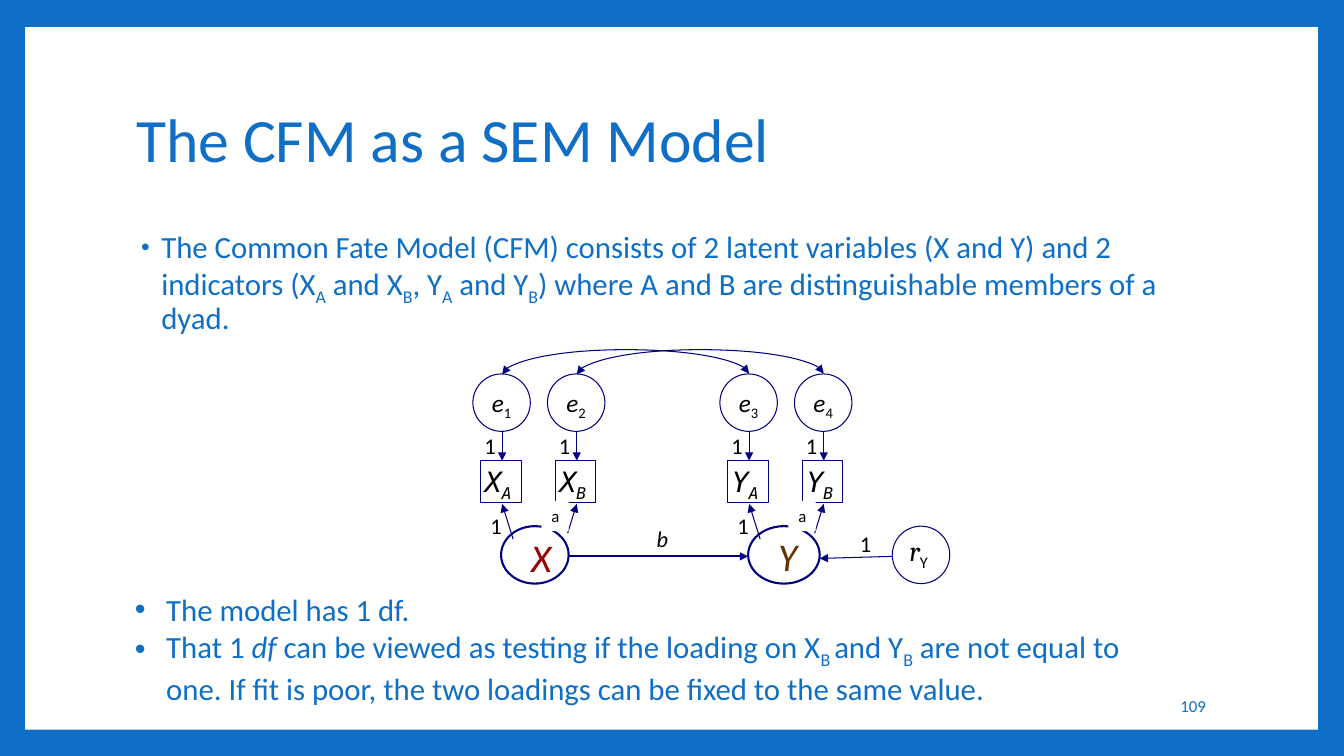
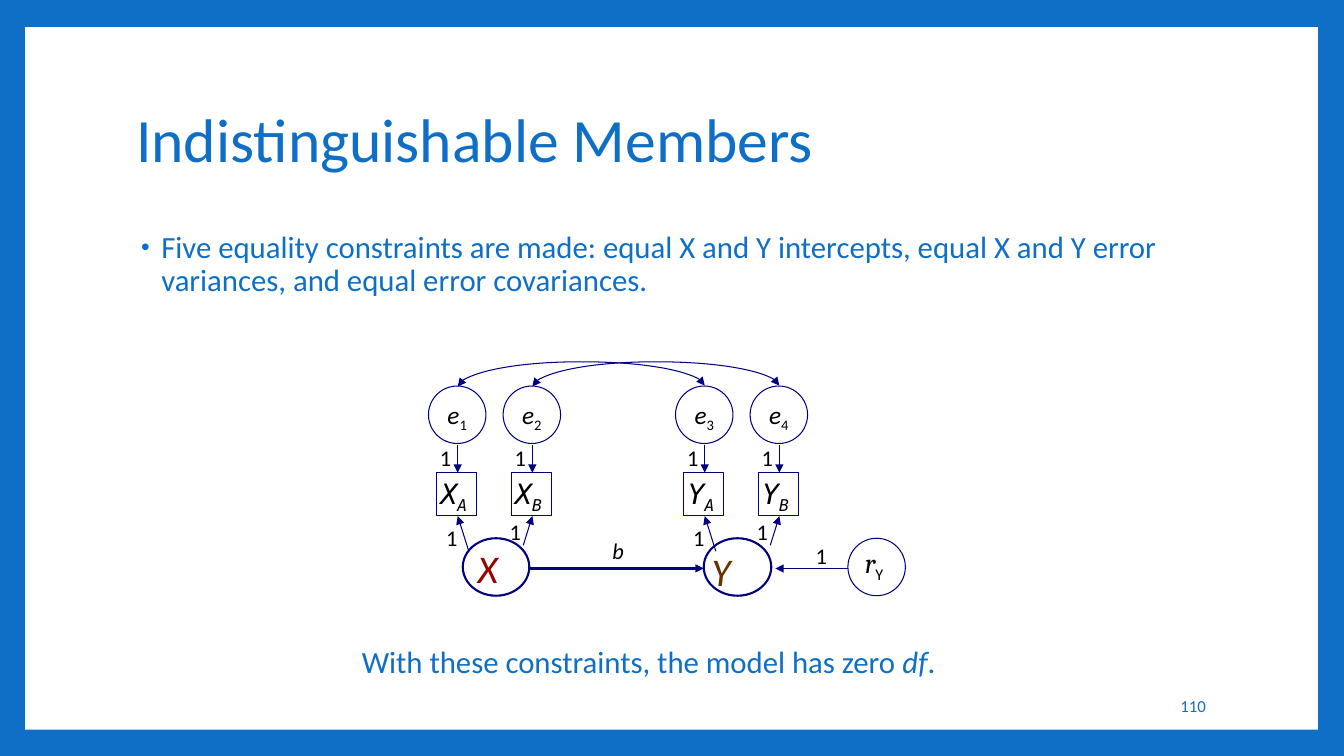
from dataclasses import dataclass

from lxml import etree
from pptx import Presentation
from pptx import util as u
from pptx.dml.color import RGBColor
from pptx.enum import shapes, text
from pptx.oxml import ns


@dataclass(frozen=True)
class Theme:
    blue: str = "0F6FC6"
    white: str = "FFFFFF"
    black: str = "000000"
    navy: str = "000080"
    red: str = "990000"
    brown: str = "663300"
    font: str = "Calibri"
    indicator_font: str = "DejaVu Sans Mono"
    residual_font: str = "Cambria"
    title: int = 44
    latent: int = 28
    body: int = 22
    indicator: int = 20
    error: int = 18
    label: int = 16
    small: int = 12
    thin: float = 0.75
    thick: float = 1.5


@dataclass(frozen=True)
class Latent:
    """A latent variable; lengths are measured from the diagram's corner."""
    name: str
    color: str
    ellipse_left: float
    ellipse_width: float
    letter_left: float
    letter_top: float


THEME = Theme()
ELLIPSE = shapes.MSO_SHAPE.OVAL
RECTANGLE = shapes.MSO_SHAPE.RECTANGLE
LEFT, CENTER, RIGHT = text.PP_ALIGN.LEFT, text.PP_ALIGN.CENTER, text.PP_ALIGN.RIGHT

CIRCLE = 0.57
PAIR_GAP = 2.45
MEMBER_GAP = 0.74
LATENT_TOP = 1.51
PATH_TOP = 1.81


def color(value):
    return RGBColor.from_string(value)


def inches(*lengths):
    return [u.Inches(length) for length in lengths]


def write(paragraph, runs, size, ink=THEME.black, font=THEME.font, align=LEFT):
    """Fill a paragraph with (text, style) runs; a style names italic and sub."""
    paragraph.alignment = align
    paragraph.font.name = font
    paragraph.font.size = u.Pt(size)
    paragraph.font.color.rgb = color(ink)
    for words, style in runs:
        run = paragraph.add_run()
        run.text = words
        if "italic" in style:
            run.font.italic = True
        if "sub" in style:
            run.font._element.set("baseline", "-25000")


def add_bullet(paragraph, margin, hanging, size=100):
    properties = paragraph._p.get_or_add_pPr()
    properties.set("marL", str(u.Inches(margin)))
    properties.set("indent", str(-u.Inches(hanging)))
    defaults = properties.find(ns.qn("a:defRPr"))
    for tag, attribute, value in (("a:buSzPct", "val", str(size * 1000)),
                                  ("a:buFont", "typeface", "Arial"),
                                  ("a:buChar", "char", "•")):
        element = etree.Element(ns.qn(tag))
        element.set(attribute, value)
        defaults.addprevious(element)


def set_frame(shape, insets=(0.1, 0.05), anchor=text.MSO_ANCHOR.TOP):
    frame = shape.text_frame
    frame.word_wrap = True
    frame.auto_size = text.MSO_AUTO_SIZE.NONE
    frame.vertical_anchor = anchor
    frame.margin_left = frame.margin_right = u.Inches(insets[0])
    frame.margin_top = frame.margin_bottom = u.Inches(insets[1])
    return frame


def add_text(slide, box, runs, size, insets=(0.1, 0.05),
             anchor=text.MSO_ANCHOR.TOP, **style):
    shape = slide.shapes.add_textbox(*inches(*box))
    paragraph = set_frame(shape, insets, anchor).paragraphs[0]
    write(paragraph, runs, size, **style)
    return paragraph


def add_label(slide, left, top, words, style=""):
    paragraph = add_text(slide, (left, top, 0.6, 0.27), [(words, style)],
                         THEME.label, insets=(0, 0), align=CENTER)
    paragraph.space_before = u.Pt(3)


def add_node(slide, kind, box, fill=None, line=THEME.navy, width=THEME.thin):
    shape = slide.shapes.add_shape(kind, *inches(*box))
    shape.shadow.inherit = False
    if fill:
        shape.fill.solid()
        shape.fill.fore_color.rgb = color(fill)
    else:
        shape.fill.background()
    if line:
        shape.line.color.rgb = color(line)
        shape.line.width = u.Pt(width)
    else:
        shape.line.fill.background()
    return shape


def add_arrow(slide, start, end, width=THEME.thin, ends=("tailEnd",),
              kind=shapes.MSO_CONNECTOR.STRAIGHT):
    connector = slide.shapes.add_connector(kind, *inches(*start, *end))
    connector.line.color.rgb = color(THEME.navy)
    connector.line.width = u.Pt(width)
    line = connector.line._get_or_add_ln()
    for tag in ends:
        etree.SubElement(line, ns.qn("a:" + tag)).set("type", "triangle")
    etree.SubElement(connector._element.spPr, ns.qn("a:effectLst"))
    return connector


def add_covariance(slide, left, top, span, rise=0.25):
    """Arch a two-headed arrow: an S-curve a hair wide, turned upright."""
    hair = 0.01
    middle = left + span / 2
    connector = add_arrow(slide, (middle - hair / 2, top - span / 2),
                          (middle + hair / 2, top + span / 2),
                          ends=("headEnd", "tailEnd"),
                          kind=shapes.MSO_CONNECTOR.CURVE)
    properties = connector._element.spPr
    properties.find(ns.qn("a:xfrm")).set("rot", str(270 * 60000))
    geometry = properties.find(ns.qn("a:prstGeom"))
    guides = geometry.find(ns.qn("a:avLst"))
    if guides is None:
        guides = etree.SubElement(geometry, ns.qn("a:avLst"))
    guide = etree.SubElement(guides, ns.qn("a:gd"))
    guide.set("name", "adj1")
    guide.set("fmla", f"val {round(rise / hair * 100000)}")


def add_member(slide, left, top, number, variable, member):
    """Place an error circle above its indicator."""
    error = add_node(slide, ELLIPSE, (left, top, CIRCLE, CIRCLE), THEME.white)
    write(set_frame(error, (0, 0.05)).paragraphs[0],
          [("e", "italic"), (str(number), "sub")], THEME.error, align=CENTER)
    add_label(slide, left - 0.13, top + 0.58, "1")
    add_arrow(slide, (left + 0.29, top + 0.58), (left + 0.29, top + 0.86))
    indicator = add_node(slide, RECTANGLE, (left + 0.08, top + 0.86, 0.4, 0.42))
    write(set_frame(indicator, (0.04, 0.04)).paragraphs[0],
          [(variable, "italic"), (member, "italic sub")],
          THEME.indicator, font=THEME.indicator_font)


def add_latent(slide, left, top, latent):
    add_node(slide, ELLIPSE,
             (left + latent.ellipse_left, top + LATENT_TOP,
              latent.ellipse_width, CIRCLE), width=THEME.thick)
    add_text(slide, (left + latent.letter_left, top + latent.letter_top, 0.5, 0.57),
             [(latent.name, "italic")], THEME.latent, ink=latent.color)


def add_loadings(slide, left, top, free_loading):
    """Draw both loadings of a pair; the second is free (a) or fixed to 1."""
    add_label(slide, left - 0.07, top + 1.37, "1")
    for start, end in (((0.4, 1.64), (0.29, 1.29)), ((0.94, 1.58), (1.03, 1.29))):
        add_arrow(slide, (left + start[0], top + start[1]),
                  (left + end[0], top + end[1]))
    if free_loading:
        patch = add_node(slide, RECTANGLE, (left + 0.68, top + 1.26, 0.27, 0.3),
                         THEME.white, line=None)
        write(set_frame(patch).paragraphs[0], [("a", "")], THEME.small)
    else:
        add_label(slide, left + 0.56, top + 1.31, "1")


def add_residual(slide, left, top, drop):
    add_arrow(slide, (left + 4.16, top + PATH_TOP),
              (left + 3.44, top + PATH_TOP + drop))
    add_node(slide, ELLIPSE, (left + 4.16, top + LATENT_TOP, CIRCLE, CIRCLE),
             THEME.white)
    paragraph = add_text(slide, (left + 4.23, top + 1.53, 0.7, 0.43),
                         [("r", "italic"), ("Y", "italic sub")], THEME.indicator)
    paragraph.runs[0].font.name = THEME.residual_font
    paragraph.runs[1].font.italic = False
    add_text(slide, (left + 3.74, top + 1.5, 0.32, 0.37), [("1", "")], THEME.label)


def add_path_diagram(slide, left, top, latents, free_loading=False, residual_drop=0):
    for pair, latent in enumerate(latents):
        pair_left = left + pair * PAIR_GAP
        for index, member in enumerate("AB"):
            add_member(slide, pair_left + index * MEMBER_GAP, top,
                       2 * pair + index + 1, latent.name, member)
        add_latent(slide, left, top, latent)
        add_loadings(slide, pair_left, top, free_loading)
    for index in range(2):
        add_covariance(slide, left + 0.29 + index * MEMBER_GAP, top, PAIR_GAP)
    cause, effect = latents
    add_arrow(slide, (left + cause.ellipse_left + cause.ellipse_width, top + PATH_TOP),
              (left + effect.ellipse_left, top + PATH_TOP), THEME.thick)
    add_label(slide, left + 1.58, top + 1.5, "b", "italic")
    add_residual(slide, left, top, residual_drop)


def add_panel(presentation, slide):
    """Set the blue border and white panel on the slide master."""
    master = presentation.slide_master
    master.background.fill.solid()
    master.background.fill.fore_color.rgb = color(THEME.blue)
    panel = add_node(slide, RECTANGLE, (0.25, 0.27, 12.82, 6.97),
                     THEME.white, line=None)
    master.element.cSld.spTree.insert(2, panel._element)


def place(shape, box):
    shape.left, shape.top, shape.width, shape.height = inches(*box)


def add_content_slide(presentation, title, body, number):
    slide = presentation.slides.add_slide(presentation.slide_layouts[1])
    heading, content = slide.shapes.title, slide.placeholders[1]
    place(heading, (1.25, 0.67, 10.8, 1.48))
    place(content, (1.25, 2.25, 10.8, 4.42))
    paragraph = set_frame(heading, anchor=text.MSO_ANCHOR.MIDDLE).paragraphs[0]
    write(paragraph, [(title, "")], THEME.title, THEME.blue)
    paragraph.line_spacing = 0.9
    paragraph = set_frame(content).paragraphs[0]
    write(paragraph, body, THEME.body, THEME.blue)
    paragraph.line_spacing = 0.9
    paragraph.space_before = u.Pt(14)
    add_bullet(paragraph, 0.25, 0.2, 80)
    add_text(slide, (10.19, 6.8, 1.87, 0.4), [(str(number), "")], THEME.small,
             anchor=text.MSO_ANCHOR.MIDDLE, ink=THEME.blue, align=RIGHT)
    return slide


def add_conclusions(slide, box, conclusions):
    frame = set_frame(slide.shapes.add_textbox(*inches(*box)))
    for index, runs in enumerate(conclusions):
        paragraph = frame.add_paragraph() if index else frame.paragraphs[0]
        write(paragraph, runs, THEME.body, THEME.blue)
        add_bullet(paragraph, 0.31, 0.31)


def build_sem_slide(presentation):
    slide = add_content_slide(presentation, "The CFM as a SEM Model", [
        ("The Common Fate Model (CFM) consists of 2 latent variables (X and Y) "
         "and 2 indicators (X", ""), ("A", "sub"), (" and X", ""), ("B", "sub"),
        (", Y", ""), ("A", "sub"), (" and Y", ""), ("B", "sub"),
        (") where A and B are distinguishable members of a dyad.", "")], 109)
    add_path_diagram(slide, 4.69, 3.71,
                     (Latent("X", THEME.red, 0.28, 0.67, 0.48, 1.53),
                      Latent("Y", THEME.brown, 2.73, 0.71, 2.93, 1.52)),
                     free_loading=True, residual_drop=0.02)
    add_conclusions(slide, (1.24, 5.81, 10.39, 1.21), [
        [("The model has 1 df.", "")],
        [("That 1 ", ""), ("df", "italic"),
         (" can be viewed as testing if the loading on X", ""), ("B ", "sub"),
         ("and Y", ""), ("B", "sub"),
         (" are not equal to one. If fit is poor, the two loadings can be fixed "
          "to the same value.", "")]])
    return slide


def build_indistinguishable_slide(presentation):
    slide = add_content_slide(presentation, "Indistinguishable Members", [
        ("Five equality constraints are made: equal X and Y intercepts, equal X and Y "
         "error variances, and equal error covariances.", "")], 110)
    add_path_diagram(slide, 4.25, 3.83,
                     (Latent("X", THEME.red, 0.34, 0.66, 0.39, 1.52),
                      Latent("Y", THEME.brown, 2.73, 0.67, 2.71, 1.55)))
    add_text(slide, (3.49, 6.33, 6.02, 0.47),
             [("With these constraints, the model has zero ", ""),
              ("df", "italic"), (".", "")], THEME.body, ink=THEME.blue)


def main():
    presentation = Presentation()
    presentation.slide_width, presentation.slide_height = inches(13.33, 7.5)
    add_panel(presentation, build_sem_slide(presentation))
    build_indistinguishable_slide(presentation)
    presentation.save("out.pptx")


if __name__ == "__main__":
    main()
